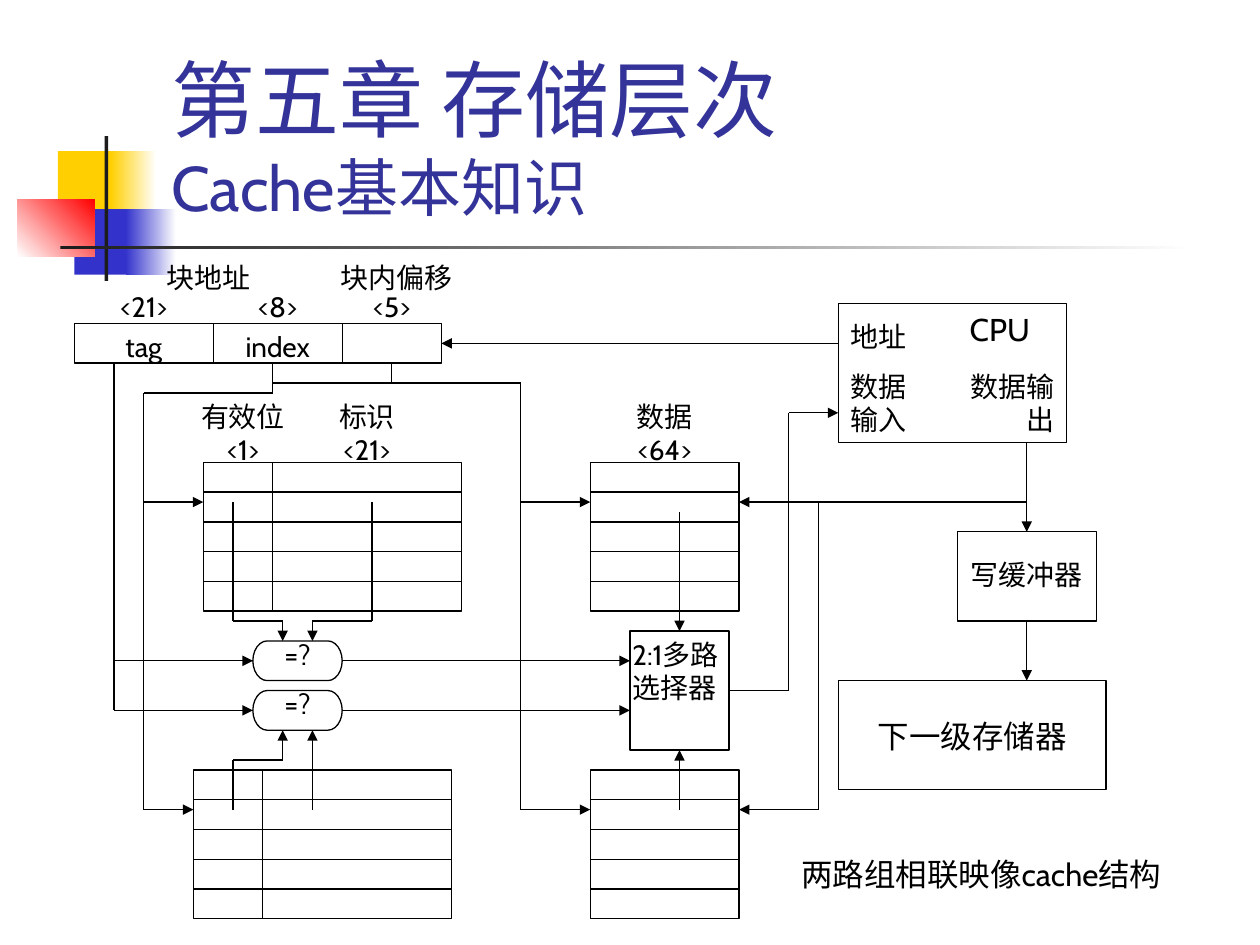
import itertools

import pptx
import pptx.dml.color
import pptx.enum.shapes
import pptx.enum.text
import pptx.oxml.ns
import pptx.util
from lxml import etree

FONT = "Cabin"
INK = "000000"
SHAPE = pptx.enum.shapes.MSO_SHAPE
ALIGN = pptx.enum.text.PP_ALIGN
ORIGIN_X, ORIGIN_Y = 0.59, 2.41
CELL = 10 / 127  # the diagram snaps to a 2 mm grid


def hex_color(value):
    return pptx.dml.color.RGBColor.from_string(value)


def col(number):
    return pptx.util.Inches(ORIGIN_X + number * CELL)


def row(number):
    return pptx.util.Inches(ORIGIN_Y + number * CELL)


def span(cells):
    return pptx.util.Inches(cells * CELL)


def add_run(paragraph, text, size, color=INK):
    run = paragraph.add_run()
    run.text = text
    run.font.name = FONT
    run.font.size = pptx.util.Pt(size)
    run.font.color.rgb = hex_color(color)


def add_decoration(slide, left, top, width, height, start, end=None, angle=0):
    """Add a borderless bar in inches, plain or fading from start to end."""
    bar = slide.shapes.add_shape(
        SHAPE.RECTANGLE, *map(pptx.util.Inches, (left, top, width, height)))
    bar.shadow.inherit = False
    bar.line.fill.background()
    if end is None:
        bar.fill.solid()
        bar.fill.fore_color.rgb = hex_color(start)
        return
    bar.fill.gradient()
    bar.fill.gradient_angle = angle
    for stop, color in zip(bar.fill.gradient_stops, (start, end)):
        stop.color.rgb = hex_color(color)


def add_title(slide, chapter, topic):
    title = slide.shapes.add_textbox(
        *map(pptx.util.Inches, (1.26, 0.23, 8.52, 1.6)))
    frame = title.text_frame
    frame.word_wrap = True
    frame.vertical_anchor = pptx.enum.text.MSO_ANCHOR.BOTTOM
    paragraph = frame.paragraphs[0]
    add_run(paragraph, chapter, 48, "333399")
    paragraph.add_line_break()
    add_run(paragraph, topic, 36, "333399")


def add_block(shapes, x, y, columns, rows, kind=SHAPE.RECTANGLE):
    block = shapes.add_shape(kind, col(x), row(y), span(columns), span(rows))
    block.shadow.inherit = False
    block.fill.background()
    block.line.color.rgb = hex_color(INK)
    block.line.width = pptx.util.Pt(0.75)


def add_label(shapes, x, y, columns, text, align=ALIGN.CENTER, size=16, lines=1):
    """Add a label whose height follows from its number of lines."""
    height = pptx.util.Inches(0.1 + lines * size / 60)
    label = shapes.add_textbox(col(x), row(y), span(columns), height)
    frame = label.text_frame
    frame.word_wrap = True
    for index, part in enumerate(text.split("\n")):
        paragraph = frame.add_paragraph() if index else frame.paragraphs[0]
        paragraph.alignment = align
        add_run(paragraph, part, size)


def add_wire(shapes, *points, arrow=False):
    """Join grid points by straight lines, with an arrowhead on the last one."""
    for (x1, y1), (x2, y2) in itertools.pairwise(points):
        wire = shapes.add_connector(
            pptx.enum.shapes.MSO_CONNECTOR.STRAIGHT,
            col(x1), row(y1), col(x2), row(y2))
        wire.line.color.rgb = hex_color(INK)
        wire.line.width = pptx.util.Pt(0.75)
        properties = wire.element.spPr
        etree.SubElement(properties, pptx.oxml.ns.qn("a:effectLst"))
    if arrow:
        outline = wire.line._get_or_add_ln()
        etree.SubElement(outline, pptx.oxml.ns.qn("a:tailEnd"), type="triangle")


def add_memory(slide, x, y, columns, divider=None):
    """Add a five-line memory array, optionally split by a vertical divider."""
    shapes = slide.shapes.add_group_shape().shapes
    add_block(shapes, x, y, columns, 15)
    for line in range(y + 3, y + 15, 3):
        add_wire(shapes, (x, line), (x + columns, line))
    if divider:
        add_wire(shapes, (x + divider, y), (x + divider, y + 15))


def add_comparator(slide, y):
    shapes = slide.shapes.add_group_shape().shapes
    add_block(shapes, 18, y, 9, 4, SHAPE.FLOWCHART_TERMINATOR)
    add_label(shapes, 17, y - 1, 11, "=?")


def add_decorations(slide):
    add_decoration(slide, 0.46, 1.2, 0.48, 0.52, "FFCF01")
    add_decoration(slide, 0.88, 1.2, 0.36, 0.52, "FFCF01", "FFFFFF")
    add_decoration(slide, 0.59, 1.66, 0.46, 0.52, "3333CC")
    add_decoration(slide, 1, 1.66, 0.4, 0.52, "3333CC", "FFFFFF")
    add_decoration(slide, 0.14, 1.58, 0.61, 0.46, "FFFFFF", "FF0000", 45)
    add_decoration(slide, 0.83, 1.08, 0.03, 1.15, "1C1C1C")
    add_decoration(slide, 0.48, 1.95, 9, 0.03, "1C1C1C", "FFFFFF")


def add_address(shapes):
    add_block(shapes, 0, 2, 37, 4)
    for x, columns, bits, field in (
            (0, 14, "<21>", "tag"), (14, 13, "<8>", "index"), (27, 10, "<5>", "")):
        add_label(shapes, x, -2, columns, bits)
        if field:
            add_label(shapes, x, 2, columns, field)
        if x:
            add_wire(shapes, (x, 2), (x, 6))
    add_label(shapes, 0, -5, 27, "块地址")
    add_label(shapes, 25, -5, 15, "块内偏移")


def add_processor(shapes):
    add_block(shapes, 77, 0, 23, 14)
    add_label(shapes, 77, 1, 11, "地址", ALIGN.LEFT)
    add_label(shapes, 77, 6, 10, "数据输入", ALIGN.LEFT, lines=2)
    add_label(shapes, 89, 6, 11, "数据输出", ALIGN.RIGHT, lines=2)
    add_label(shapes, 89, 0, 11, "CPU", ALIGN.LEFT, 18)
    add_block(shapes, 89, 23, 14, 9)
    add_label(shapes, 89, 25, 14, "写缓冲器")
    add_block(shapes, 77, 38, 27, 11)
    add_label(shapes, 77, 41, 27, "下一级存储器", size=18)


def add_ways(slide):
    shapes = slide.shapes
    for tag_x, y in ((13, 16), (12, 47)):
        add_memory(slide, tag_x, y, 26, divider=7)
        add_memory(slide, 52, y, 15)
    for x, columns, heading in (
            (11, 12, "有效位\n<1>"), (21, 17, "标识\n<21>"), (52, 15, "数据\n<64>")):
        add_label(shapes, x, 9, columns, heading, lines=2)
    for y in (34, 39):
        add_comparator(slide, y)
        add_wire(shapes, (4, y + 2), (18, y + 2), arrow=True)
        add_wire(shapes, (27, y + 2), (56, y + 2), arrow=True)
    add_block(shapes, 56, 33, 10, 12)
    add_label(shapes, 55, 33, 12, "2:1多路选择器", ALIGN.LEFT, lines=3)


def add_wiring(shapes):
    add_wire(shapes, (4, 6), (4, 41))
    add_wire(shapes, (32, 6), (32, 8))
    for points in (
            [(77, 4), (37, 4)],
            [(20, 6), (20, 9), (7, 9), (7, 51), (12, 51)],
            [(7, 20), (13, 20)],
            [(20, 8), (45, 8), (45, 51), (52, 51)],
            [(45, 20), (52, 20)],
            [(16, 20), (16, 32), (21, 32), (21, 34)],
            [(30, 20), (30, 32), (24, 32), (24, 34)],
            [(16, 51), (16, 46), (21, 46), (21, 43)],
            [(24, 51), (24, 43)],
            [(61, 21), (61, 33)],
            [(61, 51), (61, 45)],
            [(66, 39), (72, 39), (72, 11), (77, 11)],
            [(96, 14), (96, 23)],
            [(96, 32), (96, 38)],
            [(96, 20), (67, 20)],
            [(75, 20), (75, 51), (67, 51)]):
        add_wire(shapes, *points, arrow=True)


def main():
    deck = pptx.Presentation()
    deck.slide_width = pptx.util.Inches(10)
    deck.slide_height = pptx.util.Inches(7.5)
    slide = deck.slides.add_slide(deck.slide_layouts[6])
    add_decorations(slide)
    add_title(slide, "第五章 存储层次", "Cache基本知识")
    add_address(slide.shapes)
    add_processor(slide.shapes)
    add_ways(slide)
    add_wiring(slide.shapes)
    add_label(slide.shapes, 72, 55, 45, "两路组相联映像cache结构", ALIGN.LEFT, 18)
    deck.save("out.pptx")


if __name__ == "__main__":
    main()
